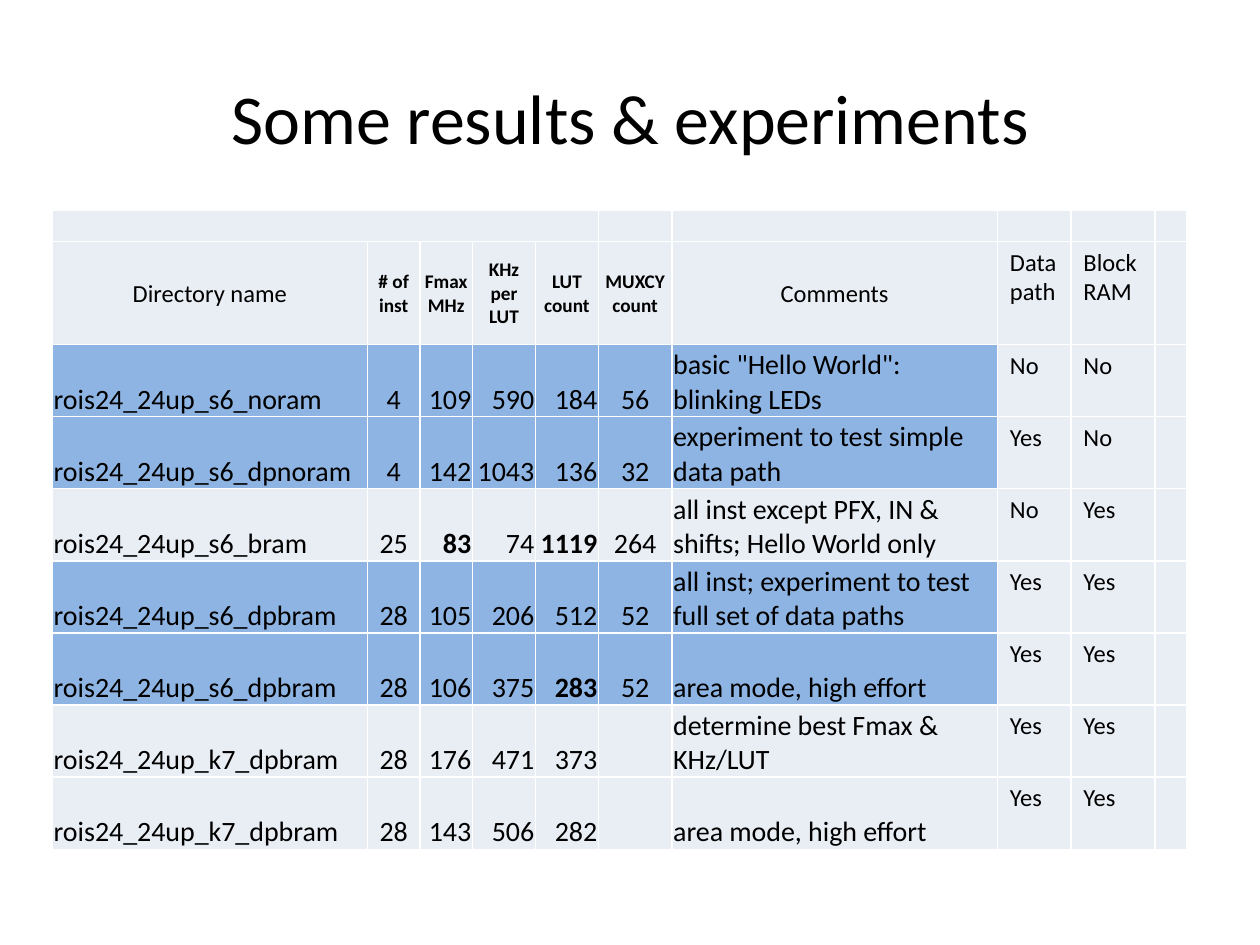
from dataclasses import dataclass

import pptx
import pptx.dml.color
import pptx.enum.text
import pptx.oxml
import pptx.oxml.ns
import pptx.util
from lxml import etree

ALIGN = pptx.enum.text.PP_ALIGN
ANCHOR = pptx.enum.text.MSO_ANCHOR
FONT = "Calibri"
BLACK, WHITE, PALE, BLUE = "000000", "FFFFFF", "E9EDF4", "8EB4E3"
UNIT = pptx.util.Inches(1) / 12
SLIDE_COLUMNS, SLIDE_ROWS = 120, 90
TABLE_LEFT, TABLE_TOP = 5, 20
SPACER_ROW, HEADER_ROW, RESULT_ROW = 3, 9.81, 6.87
EMPHASISED = {"83", "1119", "283"}


@dataclass(frozen=True)
class Column:
    heading: str
    width: int
    align: ALIGN
    heading_size: int = 14
    heading_bold: bool = False
    is_flag: bool = False


@dataclass(frozen=True)
class Result:
    values: tuple[str, ...]
    highlighted: bool = False


COLUMNS = (
    Column("Directory name", 30, ALIGN.LEFT),
    Column("# of inst", 5, ALIGN.CENTER, 11, True),
    Column("Fmax MHz", 5, ALIGN.RIGHT, 11, True),
    Column("KHz per LUT", 6, ALIGN.RIGHT, 11, True),
    Column("LUT count", 6, ALIGN.RIGHT, 11, True),
    Column("MUXCY count", 7, ALIGN.CENTER, 11, True),
    Column("Comments", 31, ALIGN.LEFT),
    Column("Data path", 7, ALIGN.LEFT, is_flag=True),
    Column("Block RAM", 8, ALIGN.LEFT, is_flag=True),
    Column("", 3, ALIGN.LEFT, is_flag=True),
)

RESULTS = (
    Result(("rois24_24up_s6_noram", "4", "109", "590", "184", "56",
            "basic \"Hello World\": blinking LEDs", "No", "No", ""), True),
    Result(("rois24_24up_s6_dpnoram", "4", "142", "1043", "136", "32",
            "experiment to test simple data path", "Yes", "No", ""), True),
    Result(("rois24_24up_s6_bram", "25", "83", "74", "1119", "264",
            "all inst except PFX, IN & shifts; Hello World only", "No", "Yes", "")),
    Result(("rois24_24up_s6_dpbram", "28", "105", "206", "512", "52",
            "all inst; experiment to test full set of data paths", "Yes", "Yes", ""), True),
    Result(("rois24_24up_s6_dpbram", "28", "106", "375", "283", "52",
            "area mode, high effort", "Yes", "Yes", ""), True),
    Result(("rois24_24up_k7_dpbram", "28", "176", "471", "373", "",
            "determine best Fmax & KHz/LUT", "Yes", "Yes", "")),
    Result(("rois24_24up_k7_dpbram", "28", "143", "506", "282", "",
            "area mode, high effort", "Yes", "Yes", "")),
)


def grid(units: float) -> int:
    return round(units * UNIT)


def colour(value: str) -> pptx.dml.color.RGBColor:
    return pptx.dml.color.RGBColor.from_string(value)


def write(para, text: str, size: int, align: ALIGN, bold: bool = False) -> None:
    para.text = text
    para.alignment = align
    for span in para.runs:
        span.font.name = FONT
        span.font.size = pptx.util.Pt(size)
        span.font.bold = bold
        span.font.color.rgb = colour(BLACK)


def add_borders(cell) -> None:
    properties = cell._tc.get_or_add_tcPr()
    for position, side in enumerate(("lnL", "lnR", "lnT", "lnB")):
        line = pptx.oxml.parse_xml(
            f'<a:{side} {pptx.oxml.ns.nsdecls("a")} w="12700"><a:solidFill>'
            f'<a:srgbClr val="{WHITE}"/></a:solidFill></a:{side}>')
        properties.insert(position, line)


def style_cell(cell, fill: str) -> None:
    cell.fill.solid()
    cell.fill.fore_color.rgb = colour(fill)
    add_borders(cell)


def fill_empty(cell) -> None:
    cell.margin_top = cell.margin_bottom = 0
    para = cell.text_frame.paragraphs[0]._p
    etree.SubElement(para, pptx.oxml.ns.qn("a:endParaRPr"), sz="1000")


def fill_cell(cell, text: str, column: Column, is_heading: bool, fill: str) -> None:
    style_cell(cell, fill)
    if not text:
        fill_empty(cell)
        return
    align = column.align
    if not column.is_flag:
        cell.margin_left = cell.margin_right = cell.margin_top = pptx.util.Inches(0.01)
        cell.margin_bottom = 0
        cell.vertical_anchor = ANCHOR.MIDDLE if is_heading else ANCHOR.BOTTOM
        align = ALIGN.CENTER if is_heading else align
    size = column.heading_size if is_heading else 14 if column.is_flag else 16
    bold = column.heading_bold if is_heading else text in EMPHASISED
    write(cell.text_frame.paragraphs[0], text, size, align, bold)


def add_title(page, text: str) -> None:
    box = page.shapes.add_textbox(grid(6), grid(3.6), grid(108), grid(15))
    box.text_frame.word_wrap = True
    box.text_frame.vertical_anchor = ANCHOR.MIDDLE
    write(box.text_frame.paragraphs[0], text, 40, ALIGN.CENTER)


def add_results(page) -> None:
    heights = [SPACER_ROW, HEADER_ROW] + [RESULT_ROW] * len(RESULTS)
    width = sum(column.width for column in COLUMNS)
    table = page.shapes.add_table(
        len(heights), len(COLUMNS), grid(TABLE_LEFT), grid(TABLE_TOP),
        grid(width), grid(sum(heights))).table
    table.first_row = table.horz_banding = False
    for row, height in zip(table.rows, heights):
        row.height = grid(height)
    headings = Result(tuple(column.heading for column in COLUMNS))
    spacer = Result(("",) * len(COLUMNS))
    for row, result in enumerate((spacer, headings) + RESULTS):
        for index, (text, column) in enumerate(zip(result.values, COLUMNS)):
            table.columns[index].width = grid(column.width)
            fill = BLUE if result.highlighted and not column.is_flag else PALE
            fill_cell(table.cell(row, index), text, column, result is headings, fill)
    table.cell(0, 0).merge(table.cell(0, 4))


def main() -> None:
    deck = pptx.Presentation()
    deck.slide_width, deck.slide_height = grid(SLIDE_COLUMNS), grid(SLIDE_ROWS)
    page = deck.slides.add_slide(deck.slide_layouts[6])
    add_title(page, "Some results & experiments")
    add_results(page)
    deck.save("out.pptx")


if __name__ == "__main__":
    main()
